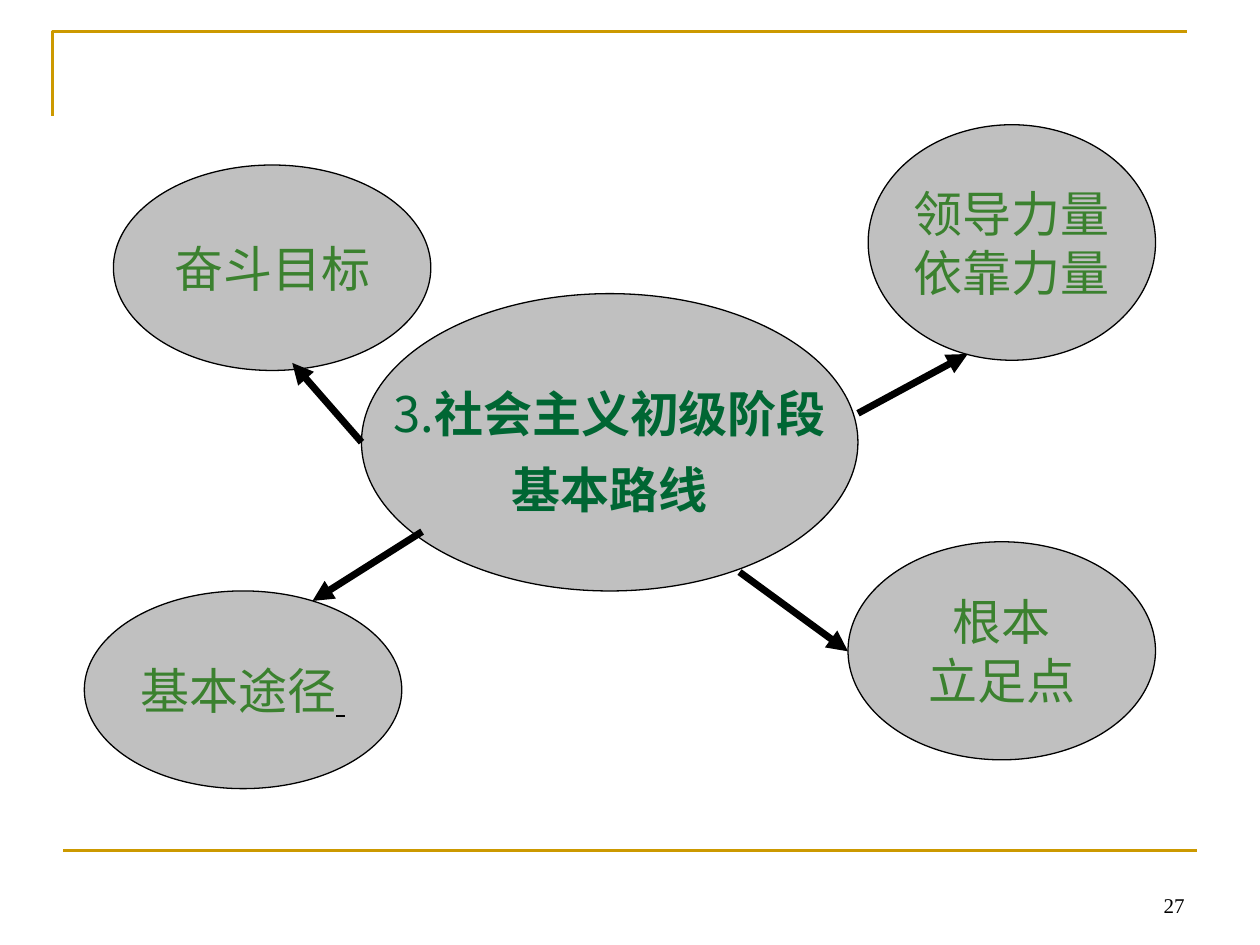
from lxml import etree
from pptx import Presentation
from pptx import util as u
from pptx.dml.color import RGBColor
from pptx.enum import shapes, text
from pptx.oxml import ns

COLORS = {
    "gold": "CC9900",
    "gray": "C0C0C0",
    "black": "000000",
    "dark_green": "006633",
    "green": "3B812F",
}
SANS, SERIF = "Noto Sans CJK SC", "Times New Roman"
TOPIC = {"size": u.Pt(28), "name": SERIF, "color": "green"}
NUMBER = {"size": u.Pt(28), "name": SANS, "color": "dark_green"}
HEADING = {**NUMBER, "bold": True}
UNDERLINED = {"size": u.Pt(24), "name": SERIF, "color": "black", "underline": True}
PAGE = {"size": u.Pt(12), "name": SERIF, "color": "black"}


def color(name):
    return RGBColor.from_string(COLORS[name])


def points(*values):
    return [u.Pt(value) for value in values]


def style_line(line, name, width):
    line.color.rgb = color(name)
    line.width = u.Pt(width)


def write(frame, paragraphs, alignment, spacing=None):
    """Each paragraph is a list of (text, format) runs."""
    for index, runs in enumerate(paragraphs):
        paragraph = frame.paragraphs[0] if index == 0 else frame.add_paragraph()
        paragraph.alignment = alignment
        paragraph.line_spacing = spacing
        for words, formats in runs:
            run = paragraph.add_run()
            run.text = words
            for key, value in formats.items():
                if key == "color":
                    run.font.color.rgb = color(value)
                else:
                    setattr(run.font, key, value)
            east_asian = etree.Element(ns.qn("a:ea"), typeface=SANS)
            run.font._element.find(ns.qn("a:latin")).addnext(east_asian)


def add_ellipse(slide, box, paragraphs, spacing=None):
    shape = slide.shapes.add_shape(shapes.MSO_SHAPE.OVAL, *points(*box))
    shape.shadow.inherit = False
    shape.fill.solid()
    shape.fill.fore_color.rgb = color("gray")
    style_line(shape.line, "black", 0.75)
    shape.text_frame.word_wrap = False
    shape.text_frame.vertical_anchor = text.MSO_ANCHOR.MIDDLE
    write(shape.text_frame, paragraphs, text.PP_ALIGN.CENTER, spacing)


def add_line(slide, start, end, name, width, arrow=False):
    connector = slide.shapes.add_connector(
        shapes.MSO_CONNECTOR.STRAIGHT, *points(*start, *end))
    style_line(connector.line, name, width)
    if arrow:
        line = connector.line._get_or_add_ln()
        etree.SubElement(line, ns.qn("a:tailEnd"), type="triangle")
    etree.SubElement(connector._element.spPr, ns.qn("a:effectLst"))


def add_corner(slide):
    builder = slide.shapes.build_freeform(*points(30.2, 66.2))
    builder.add_line_segments(
        [points(30.2, 18), points(678.2, 18)], close=False)
    corner = builder.convert_to_shape()
    corner.shadow.inherit = False
    corner.fill.background()
    style_line(corner.line, "gold", 1.5)


def add_page_number(slide):
    box = slide.shapes.add_textbox(*points(516.2, 491.8, 167.8, 36))
    box.text_frame.word_wrap = True
    box.text_frame.vertical_anchor = text.MSO_ANCHOR.BOTTOM
    write(box.text_frame, [[("27", PAGE)]], text.PP_ALIGN.RIGHT)


def main():
    presentation = Presentation()
    presentation.slide_width, presentation.slide_height = points(720, 540)
    slide = presentation.slides.add_slide(presentation.slide_layouts[6])

    # Page frame
    add_corner(slide)
    add_line(slide, (36, 486), (684, 486), "gold", 1.5)
    add_page_number(slide)

    # Central theme
    add_ellipse(slide, (206.6, 167.8, 283.7, 169.9), [
        [("3.", NUMBER), ("社会主义初级阶段", HEADING)],
        [("基本路线", HEADING)],
    ], spacing=1.3)

    # Surrounding topics
    topics = [
        ((64.8, 94.3, 181.4, 117.4), [[("奋斗目标", TOPIC)]]),
        ((48.2, 337.7, 181.4, 113),
         [[("基本途径", TOPIC), (" ", UNDERLINED)]]),
        ((496.1, 71.3, 164.2, 134.6),
         [[("领导力量", TOPIC)], [("依靠力量", TOPIC)]]),
        ((484.6, 309.6, 175.7, 124.6),
         [[("根本", TOPIC)], [("立足点", TOPIC)]]),
    ]
    for box, paragraphs in topics:
        add_ellipse(slide, box, paragraphs)

    # Arrows from the theme to its topics
    arrows = [
        ((241.2, 303.8), (178.6, 343.4)),
        ((206.6, 252.7), (167, 207.4)),
        ((490.3, 236.2), (553, 202.3)),
        ((422.6, 326.9), (484.6, 372.2)),
    ]
    for start, end in arrows:
        add_line(slide, start, end, "black", 4, arrow=True)

    presentation.save("out.pptx")


if __name__ == "__main__":
    main()
